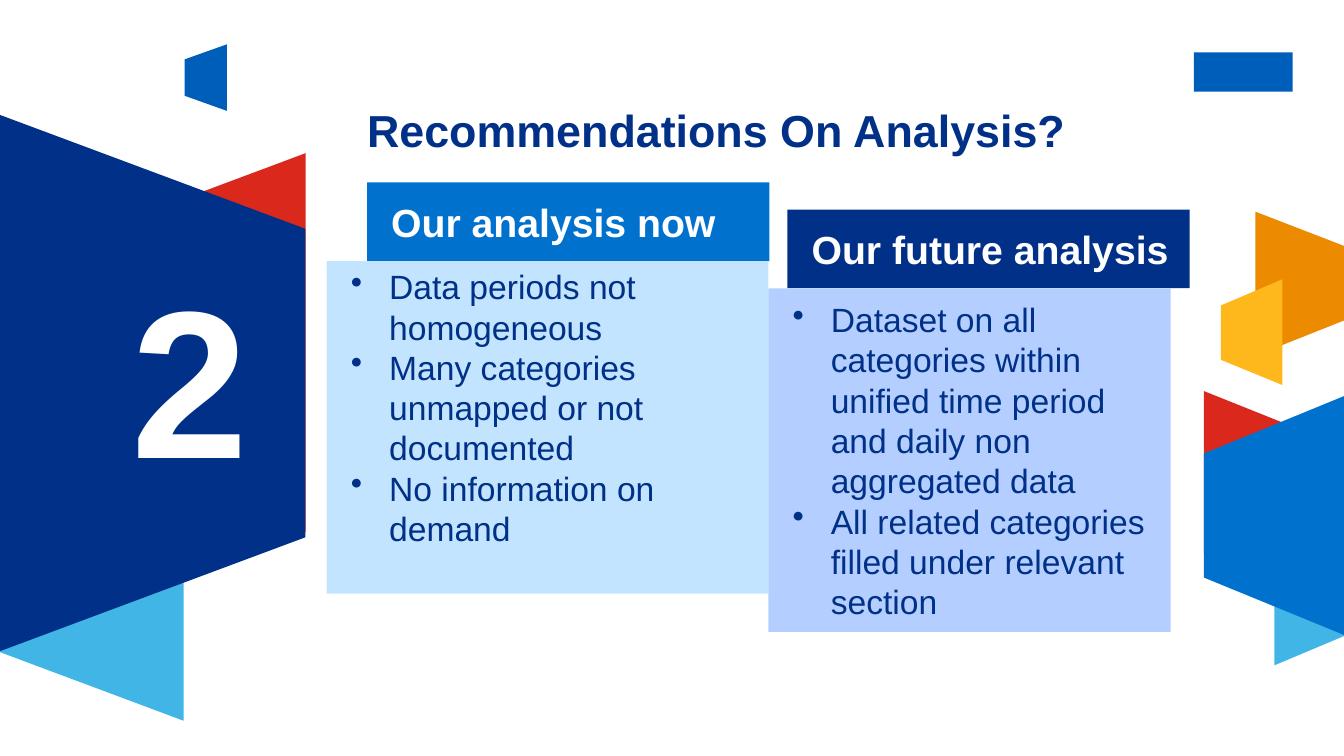
from dataclasses import dataclass

from pptx import Presentation
from pptx.dml.color import RGBColor
from pptx.enum import shapes, text
from pptx.util import Inches, Pt


@dataclass(frozen=True)
class Theme:
    font: str = "Arial"
    navy: str = "003087"
    blue: str = "0072CE"
    badge: str = "005EBB"
    red: str = "DA291C"
    sky: str = "41B6E6"
    orange: str = "ED8B00"
    yellow: str = "FFB81C"
    pale_blue: str = "C2E4FF"
    pale_violet: str = "B4CFFF"
    white: str = "FFFFFF"
    number: int = 150
    title: int = 32
    heading: int = 28
    body: int = 24


T = Theme()
RECT = shapes.MSO_SHAPE.RECTANGLE
TOP, MIDDLE = text.MSO_ANCHOR.TOP, text.MSO_ANCHOR.MIDDLE


def paint(sp, color):
    sp.shadow.inherit = False
    sp.fill.solid()
    sp.fill.fore_color.rgb = RGBColor.from_string(color)
    sp.line.fill.background()


def add_rect(s, box, color):
    sp = s.shapes.add_shape(RECT, *map(Inches, box))
    paint(sp, color)
    return sp


def write(sp, lines, size, color, bold=False, anchor=TOP, insets=(0, 0), spacing=None):
    """Fill a shape with left-aligned paragraphs; insets are left and right."""
    tf = sp.text_frame
    left, right = map(Inches, insets)
    frame = dict(word_wrap=True, auto_size=text.MSO_AUTO_SIZE.NONE,
                 vertical_anchor=anchor, margin_left=left, margin_right=right,
                 margin_top=0, margin_bottom=0)
    for name, value in frame.items():
        setattr(tf, name, value)
    for i, line in enumerate(lines):
        p = tf.paragraphs[0] if i == 0 else tf.add_paragraph()
        p.alignment = text.PP_ALIGN.LEFT
        p.line_spacing = spacing
        r = p.add_run()
        r.text = line
        for name, value in dict(name=T.font, size=Pt(size), bold=bold).items():
            setattr(r.font, name, value)
        r.font.color.rgb = RGBColor.from_string(color)


def add_bullets(tf, indent=0.38):
    for p in tf.paragraphs:
        pPr = p._p.get_or_add_pPr()
        pPr.set("marL", str(Inches(indent)))
        pPr.set("indent", str(-Inches(indent)))
        bullet = pPr.makeelement(
            "{http://schemas.openxmlformats.org/drawingml/2006/main}buChar", {"char": "•"})
        pPr.append(bullet)


def add_trapezoid(s, left, right, color):
    """Draw a shape with two upright sides, each given as x, top and bottom."""
    (x0, top0, bottom0), (x1, top1, bottom1) = left, right
    fb = s.shapes.build_freeform(Inches(x0), Inches(top0), scale=1)
    corners = [(x1, top1), (x1, bottom1), (x0, bottom0)]
    fb.add_line_segments([(Inches(x), Inches(y)) for x, y in corners], close=True)
    paint(fb.convert_to_shape(), color)


def decorate(s):
    add_trapezoid(s, (1.83, 0.59, 0.95), (2.25, 0.44, 1.1), T.badge)
    add_rect(s, (11.84, 0.52, 0.98, 0.39), T.badge)
    edge = 13.33
    for left, right, color in [
        ((1.24, 2.19, 4.61), (3.03, 1.52, 5.28), T.red),
        ((0, 4.04, 6.47), (1.82, 3.36, 7.15), T.sky),
        ((12.45, 2.1, 3.53), (edge, 2.44, 3.18), T.orange),
        ((12.64, 5.11, 6.6), (edge, 5.4, 6.31), T.sky),
        ((0, 1.14, 6.46), (3.03, 2.27, 5.33), T.navy),
        ((11.94, 3.88, 5.49), (12.89, 4.26, 5.1), T.red),
        ((11.94, 4.5, 5.73), (edge, 3.93, 6.3), T.blue),
        ((12.11, 3.03, 3.57), (12.72, 2.77, 3.82), T.yellow),
    ]:
        add_trapezoid(s, left, right, color)


def place_title(s, box, words):
    sp = s.shapes.title
    sp.left, sp.top, sp.width, sp.height = map(Inches, box)
    write(sp, [words], T.title, T.navy, bold=True, spacing=0.9)


def add_number(s, box, number):
    sp = s.shapes.add_textbox(*map(Inches, box))
    write(sp, [number], T.number, T.white, bold=True, spacing=0.9)


def add_panel(s, box, heading, points, header_x, colors, spare=0):
    """Draw a bulleted box with a heading on top; spare is room kept below the text."""
    x, y, w, h = box
    header_h, pad = 0.78, 0.24
    header = add_rect(s, (header_x, y - header_h, 3.99, header_h), colors[0])
    write(header, [heading], T.heading, T.white, bold=True, anchor=MIDDLE, insets=(pad, 0))
    body = add_rect(s, (x, y, w, h), colors[1])
    write(body, points, T.body, T.navy, anchor=MIDDLE, insets=(pad, pad))
    body.text_frame.margin_bottom = Inches(spare)
    add_bullets(body.text_frame)


def main():
    prs = Presentation()
    prs.slide_width, prs.slide_height = Inches(13.33), Inches(7.5)
    s = prs.slides.add_slide(prs.slide_layouts[5])
    decorate(s)
    place_title(s, (3.64, 1.08, 8.14, 0.6), "Recommendations On Analysis?")
    add_number(s, (1.3, 2.75, 1.37, 2), "2")
    add_panel(s, (3.24, 2.59, 4.38, 3.3), "Our analysis now",
              ["Data periods not homogeneous",
               "Many categories unmapped or not documented",
               "No information on demand"],
              3.64, (T.blue, T.pale_blue), spare=0.4)
    add_panel(s, (7.62, 2.86, 3.99, 3.41), "Our future analysis",
              ["Dataset on all categories within unified time period and daily non aggregated data",
               "All related categories filled under relevant section"],
              7.81, (T.navy, T.pale_violet))
    prs.save("out.pptx")


if __name__ == "__main__":
    main()
